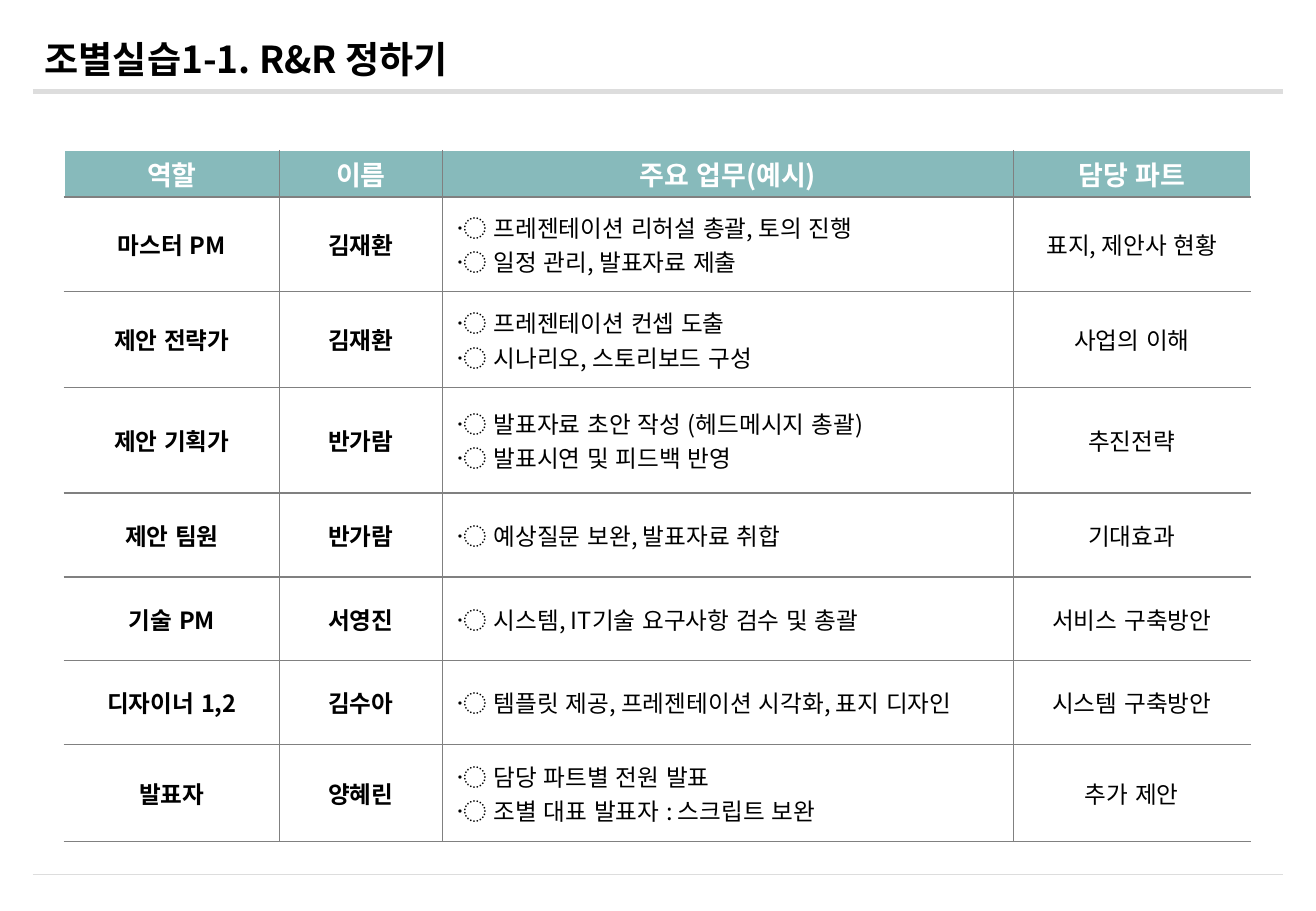
import pptx
import pptx.dml.color
import pptx.enum.lang
import pptx.enum.shapes
import pptx.enum.text
import pptx.oxml.ns
import pptx.util
import lxml.etree
from dataclasses import dataclass

TITLE = "조별실습1-1. R&R 정하기"
HEADERS = ("역할", "이름", "주요 업무(예시)", "담당 파트")
ROLES = [
    ("마스터 PM", "김재환", ("프레젠테이션 리허설 총괄, 토의 진행", "일정 관리, 발표자료 제출"), "표지, 제안사 현황"),
    ("제안 전략가", "김재환", ("프레젠테이션 컨셉 도출", "시나리오, 스토리보드 구성"), "사업의 이해"),
    ("제안 기획가", "반가람", ("발표자료 초안 작성 (헤드메시지 총괄)", "발표시연 및 피드백 반영"), "추진전략"),
    ("제안 팀원", "반가람", ("예상질문 보완, 발표자료 취합",), "기대효과"),
    ("기술 PM", "서영진", ("시스템, IT기술 요구사항 검수 및 총괄",), "서비스 구축방안"),
    ("디자이너 1,2", "김수아", ("템플릿 제공, 프레젠테이션 시각화, 표지 디자인",), "시스템 구축방안"),
    ("발표자", "양혜린", ("담당 파트별 전원 발표", "조별 대표 발표자 : 스크립트 보완"), "추가 제안"),
]
TASK_MARK = " 〮 "
COLUMN_WIDTHS = (1.77, 1.34, 4.7, 1.95)
ROW_HEIGHTS = (0.38, 0.78, 0.79, 0.87, 0.69, 0.69, 0.69, 0.8)
TABLE_LEFT, TABLE_TOP = 0.53, 1.24
RULE_LEFT, RULE_RIGHT = 0.27, 10.56
RULES = ((0.75, 3), (7.2, 0.75))

Inches = pptx.util.Inches
Pt = pptx.util.Pt
ALIGN = pptx.enum.text.PP_ALIGN
MIDDLE = pptx.enum.text.MSO_ANCHOR.MIDDLE


@dataclass(frozen=True)
class Theme:
    font: str = "Noto Sans CJK KR"
    ink: str = "000000"
    paper: str = "FFFFFF"
    header: str = "87BABB"
    grid: str = "808080"
    rule: str = "DDDDDD"
    title_size: int = 22
    header_size: int = 16
    body_size: int = 14
    border_width: int = 1


THEME = Theme()


def rgb(color):
    return pptx.dml.color.RGBColor.from_string(color)


def write_text(frame, lines, size=THEME.body_size, color=THEME.ink, bold=False, align=ALIGN.LEFT):
    frame.word_wrap = True
    for index, line in enumerate(lines):
        paragraph = frame.add_paragraph() if index else frame.paragraphs[0]
        paragraph.alignment = align
        run = paragraph.add_run()
        run.text = line
        font = run.font
        font.size, font.bold, font.name = Pt(size), bold, THEME.font
        font.color.rgb = rgb(color)
        font.language_id = pptx.enum.lang.MSO_LANGUAGE_ID.KOREAN
        properties = run._r.get_or_add_rPr()
        east_asian = lxml.etree.SubElement(properties, pptx.oxml.ns.qn("a:ea"))
        east_asian.set("typeface", THEME.font)


def set_borders(cell, colors):
    properties = cell._tc.get_or_add_tcPr()
    for index, (side, color) in enumerate(zip("LRTB", colors)):
        line = lxml.etree.Element(pptx.oxml.ns.qn(f"a:ln{side}"), w=str(Pt(THEME.border_width)))
        fill = lxml.etree.SubElement(line, pptx.oxml.ns.qn("a:solidFill"))
        lxml.etree.SubElement(fill, pptx.oxml.ns.qn("a:srgbClr"), val=color)
        properties.insert(index, line)


def add_rule(slide, top, width):
    rule = slide.shapes.add_connector(
        pptx.enum.shapes.MSO_CONNECTOR.STRAIGHT,
        Inches(RULE_LEFT), Inches(top), Inches(RULE_RIGHT), Inches(top))
    rule.line.color.rgb = rgb(THEME.rule)
    rule.line.width = Pt(width)
    lxml.etree.SubElement(rule._element.spPr, pptx.oxml.ns.qn("a:effectLst"))


def add_title(slide):
    box = slide.shapes.add_textbox(
        Inches(RULE_LEFT), Inches(0.21), Inches(RULE_RIGHT - RULE_LEFT), Inches(0.54))
    box.text_frame.vertical_anchor = MIDDLE
    write_text(box.text_frame, [TITLE], size=THEME.title_size, bold=True)


def fill_cell(cell, content, row, column):
    is_header = row == 0
    is_task = column == 2 and not is_header
    last_column = len(COLUMN_WIDTHS) - 1
    cell.fill.solid()
    cell.fill.fore_color.rgb = rgb(THEME.header if is_header else THEME.paper)
    cell.vertical_anchor = MIDDLE
    cell.margin_left = cell.margin_right = Inches(0.07)
    cell.margin_top = cell.margin_bottom = Inches(0.03)
    write_text(
        cell.text_frame,
        [TASK_MARK + task for task in content] if is_task else [content],
        size=THEME.header_size if is_header else THEME.body_size,
        color=THEME.paper if is_header else THEME.ink,
        bold=is_header or column < 2,
        align=ALIGN.LEFT if is_task else ALIGN.CENTER)
    open_sides = (column == 0, column == last_column, is_header, False)
    set_borders(cell, [THEME.paper if is_open else THEME.grid for is_open in open_sides])


def add_role_table(slide):
    rows = [HEADERS, *ROLES]
    table = slide.shapes.add_table(
        len(rows), len(HEADERS), Inches(TABLE_LEFT), Inches(TABLE_TOP),
        Inches(sum(COLUMN_WIDTHS)), Inches(sum(ROW_HEIGHTS))).table
    table.first_row = table.horz_banding = False
    for column, width in zip(table.columns, COLUMN_WIDTHS):
        column.width = Inches(width)
    for row, height in zip(table.rows, ROW_HEIGHTS):
        row.height = Inches(height)
    for row, contents in enumerate(rows):
        for column, content in enumerate(contents):
            fill_cell(table.cell(row, column), content, row, column)


def main():
    presentation = pptx.Presentation()
    presentation.slide_width = Inches(10.83)
    presentation.slide_height = Inches(7.5)
    slide = presentation.slides.add_slide(presentation.slide_layouts[6])
    for top, width in RULES:
        add_rule(slide, top, width)
    add_title(slide)
    add_role_table(slide)
    presentation.save("out.pptx")


if __name__ == "__main__":
    main()
